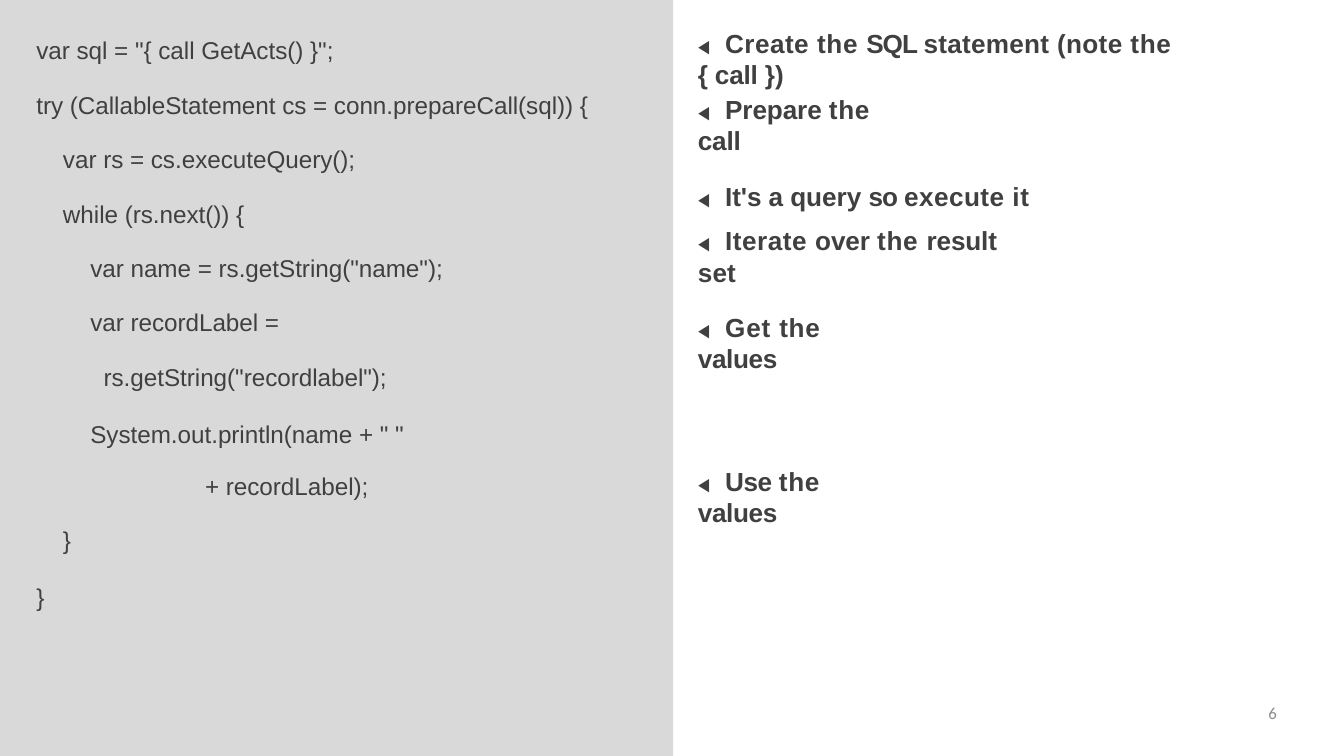
from lxml.etree import SubElement
from pptx import Presentation
from pptx.dml.color import RGBColor
from pptx.enum.shapes import MSO_SHAPE
from pptx.enum.text import PP_ALIGN
from pptx.oxml.ns import qn
from pptx.util import Pt

PX = 9525  # 96 px to the inch
COLORS = {"code panel": "D9D9D9", "notes panel": "FFFFFF", "text": "404040", "number": "8C8C8C"}
CODE = {"name": "Arial", "size": Pt(26)}
MARKER = {"name": "Courier New", "size": Pt(20), "bold": False}
NOTE = {"name": "Arial", "size": Pt(28), "bold": True}
NUMBER = {"name": "Calibri", "size": Pt(18)}

# Letter spacing of each word in the notes, in points
TRACKING = {
    "Create": 0.5, "the": 0.8, "SQL": -1.1, "statement": 0.3, "(note": 0.4,
    "{": -0.4, "call": -0.2, "})": -0.1, "Prepare": -0.1, "It's": -0.1,
    "a": -0.2, "query": 0, "so": -1.1, "execute": 0.5, "it": 0.6,
    "Iterate": 0.6, "over": -0.1, "result": -0.1, "set": 0.2,
    "Get": 0.9, "values": -0.4, "Use": -0.5,
}


def add_text_frame(left, top, width, height, inset=1):
    frame = slide.shapes.add_textbox(left * PX, top * PX, width * PX, height * PX).text_frame
    frame.word_wrap = True
    margins = {"margin_left": 0, "margin_right": 0, "margin_top": inset * PX, "margin_bottom": 0}
    for side, margin in margins.items():
        setattr(frame, side, margin)
    return frame


def add_run(paragraph, text, style, color="text", tracking=0):
    """Append a styled run; tracking is the letter spacing in points."""
    run = paragraph.add_run()
    run.text = text
    for attribute, value in style.items():
        setattr(run.font, attribute, value)
    run.font.color.rgb = RGBColor.from_string(COLORS[color])
    run.font._element.set("spc", str(round(tracking * 100)))


prs = Presentation()
prs.slide_width, prs.slide_height = 1920 * PX, 1080 * PX
slide = prs.slides.add_slide(prs.slide_layouts[6])

for name, left, width in [("code panel", 0, 962), ("notes panel", 962, 958)]:
    panel = slide.shapes.add_shape(MSO_SHAPE.RECTANGLE, left * PX, 0, width * PX, 1080 * PX)
    panel.shadow.inherit = False
    panel.fill.solid()
    panel.fill.fore_color.rgb = RGBColor.from_string(COLORS[name])
    panel.line.fill.background()

# Row, left, width, height, then (indent, code) for each line
code_blocks = [
    (0, 51, 440, 44, [(1, 'var sql = "{ call GetActs() }";')]),
    (1, 51, 800, 44, [(1, "try (CallableStatement cs = conn.prepareCall(sql)) {")]),
    (2, 89, 430, 44, [(1, "var rs = cs.executeQuery();")]),
    (3, 89, 270, 44, [(1, "while (rs.next()) {")]),
    (4, 128, 516, 44, [(1, 'var name = rs.getString("name");')]),
    (5, 128, 280, 44, [(1, "var recordLabel =")]),
    (6, 128, 460, 123, [(20, 'rs.getString("recordlabel");'),
                        (1, 'System.out.println(name + " "')]),
    (8, 292, 240, 44, [(1, "+ recordLabel);")]),
    (9, 51, 53, 122, [(39, "}"), (1, "}")]),
]
for row, left, width, height, lines in code_blocks:
    frame = add_text_frame(left, 50 + round(77.7 * row), width, height)
    for number, (indent, code) in enumerate(lines):
        paragraph = frame.add_paragraph() if number else frame.paragraphs[0]
        if number:
            paragraph.space_before = Pt(30)
        paragraph._p.get_or_add_pPr().set("marL", str(indent * PX))
        add_run(paragraph, code, CODE, tracking=-0.05)

# Top, width, height, top inset, notes
note_blocks = [
    (38, 804, 47, 1, ["Create the SQL statement (note the { call })"]),
    (132, 318, 47, 1, ["Prepare the call"]),
    (239, 489, 128, 19, ["It's a query so execute it", "Iterate over the result set"]),
    (444, 297, 47, 1, ["Get the values"]),
    (664, 298, 47, 1, ["Use the values"]),
]
for top, width, height, inset, notes in note_blocks:
    frame = add_text_frame(996, top, width, height, inset)
    for number, note in enumerate(notes):
        paragraph = frame.add_paragraph() if number else frame.paragraphs[0]
        if number:
            paragraph.space_before = Pt(13.4)
        properties = paragraph._p.get_or_add_pPr()
        properties.set("marL", str(PX))
        tabs = SubElement(properties, qn("a:tabLst"))
        SubElement(tabs, qn("a:tab"), pos=str(39 * PX), algn="l")
        add_run(paragraph, "◀\t", MARKER, tracking=-1.9)
        words = note.split()
        for word in words[:-1]:
            add_run(paragraph, word + " ", NOTE, tracking=TRACKING[word])
        add_run(paragraph, words[-1], NOTE, tracking=TRACKING[words[-1]])

page_number = add_text_frame(1382, 1004, 442, 54, inset=0).paragraphs[0]
page_number.alignment = PP_ALIGN.RIGHT
add_run(page_number, "6", NUMBER, "number")

prs.save("out.pptx")
